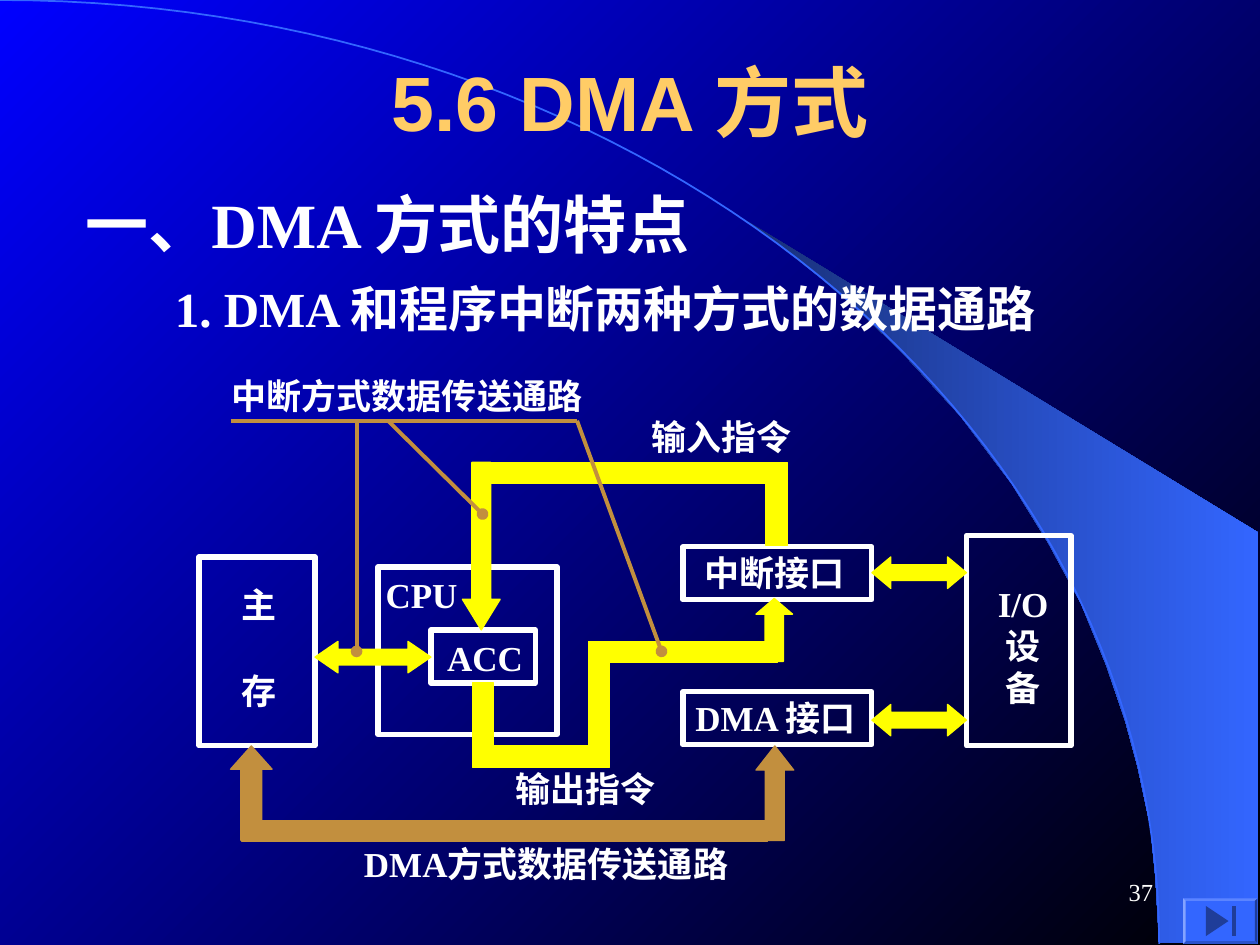
from typing import NamedTuple

from lxml import etree
from pptx import Presentation
from pptx.dml.color import RGBColor
from pptx.enum import shapes, text
from pptx.oxml import ns
from pptx.util import Inches, Pt

COLORS = {
    "blue": "0000FF", "black": "000000", "accent": "3366FF", "navy": "182F76",
    "title": "FFCC66", "white": "FFFFFF", "yellow": "FFFF00", "brown": "C28F3E",
    "light": "84A3FF", "pale": "5B84FF", "shade": "2952CC", "dark": "1F3D99",
}
SHAPE = shapes.MSO_SHAPE
ALIGN = text.PP_ALIGN


class Label(NamedTuple):
    lines: tuple[str, ...]
    left: float
    top: float
    width: float
    height: float = 0.44
    size: int = 20
    color: str = "white"
    font: str = "Times New Roman"
    bold: bool = True
    align: ALIGN = ALIGN.LEFT
    anchor: text.MSO_ANCHOR = text.MSO_ANCHOR.TOP
    gap: int = 0  # points before each later line
    inset: float = 0.1
    wrap: bool = False


class Block(NamedTuple):
    left: float
    top: float
    width: float
    height: float
    color: str = "yellow"
    kind: SHAPE = SHAPE.RECTANGLE
    head: float = 0  # arrowhead length relative to thickness


class Lead(NamedTuple):
    start: tuple[float, float]
    end: tuple[float, float]
    dot: bool = True


MIDDLE = text.MSO_ANCHOR.MIDDLE
HEADINGS = [
    Label(("5.6 DMA 方式",), 0.75, 0.17, 8.5, 1.25, 44, "title", "Arial",
          align=ALIGN.CENTER, anchor=MIDDLE, wrap=True),
    Label(("一、DMA 方式的特点",), 0.58, 1.42, 5.58, 0.7, 36, wrap=True),
    Label(("1. DMA 和程序中断两种方式的数据通路",), 1.29, 2.16, 7.14, 0.57, 28),
    Label(("37",), 7.17, 6.83, 2.08, 0.5, 14, bold=False,
          align=ALIGN.RIGHT, anchor=MIDDLE, wrap=True),
]
LABELS = [
    Label(("CPU",), 3, 4.5, 1.25, inset=0.06, wrap=True),
    Label(("主", "存"), 1.82, 4.58, 0.48, 1.1, gap=25),
    Label(("ACC",), 3.45, 5, 0.8, 0.42),
    Label(("中断接口",), 5.49, 4.33, 1.31),
    Label(("DMA 接口",), 5.42, 5.48, 1.56),
    Label(("I/O", "设", "备"), 7.82, 4.57, 0.6, 1.1, align=ALIGN.CENTER),
    Label(("中断方式数据传送通路",), 1.74, 2.92, 2.98),
    Label(("输入指令",), 5.07, 3.25, 1.31),
    Label(("输出指令",), 3.99, 6.04, 1.31),
    Label(("DMA方式数据传送通路",), 2.79, 6.64, 3.16),
]
# CPU, main memory, ACC, interrupt interface, DMA interface, I/O device
FRAMES = [
    Block(3, 4.5, 1.42, 1.33), Block(1.58, 4.42, 0.92, 1.5),
    Block(3.42, 5, 0.83, 0.42), Block(5.42, 4.34, 1.5, 0.42),
    Block(5.42, 5.49, 1.5, 0.42), Block(7.67, 4.25, 0.83, 1.67),
]
BAR = 0.17
ROUTES = [
    # Output instruction: ACC to interrupt interface
    Block(3.75, 5.42, BAR, 0.58), Block(3.75, 5.92, 1, BAR),
    Block(4.67, 5.17, BAR, 0.92), Block(4.67, 5.09, 1.5, BAR),
    Block(6, 4.75, 0.29, 0.5, "yellow", SHAPE.UP_ARROW, 0.43),
    # Input instruction: interrupt interface to ACC
    Block(6.08, 3.75, BAR, 0.58), Block(3.75, 3.67, 2.5, BAR),
    Block(3.67, 3.67, 0.3, 1.33, "yellow", SHAPE.DOWN_ARROW, 0.81),
    # Two-way links
    Block(2.5, 5.09, 0.92, 0.25, "yellow", SHAPE.LEFT_RIGHT_ARROW, 0.73),
    *(Block(6.92, top, 0.75, 0.25, "yellow", SHAPE.LEFT_RIGHT_ARROW, 0.6)
      for top in (4.42, 5.59)),
    # DMA path
    Block(1.83, 5.92, 0.33, 0.75, "brown", SHAPE.UP_ARROW, 0.56),
    Block(1.92, 6.51, 4.17, BAR, "brown"),
    Block(6, 5.92, 0.3, 0.75, "brown", SHAPE.UP_ARROW, 0.64),
]
LEADS = [
    Lead((1.83, 3.34), (4.58, 3.34), dot=False),
    Lead((2.83, 3.34), (2.83, 5.17)),
    Lead((3.08, 3.34), (3.83, 4.08)),
    Lead((4.58, 3.34), (5.25, 5.17)),
]
WEDGE = [
    (9.2, 7.48), (9.99, 7.49), (9.99, 4.23), (5.89, 1.73), (6.24, 1.99),
    (6.53, 2.22), (6.85, 2.5), (7.16, 2.8), (7.62, 3.3), (8.03, 3.84),
    (8.32, 4.31), (8.58, 4.79), (8.78, 5.28), (8.93, 5.72), (9.03, 6.09),
    (9.13, 6.56), (9.17, 6.96), (9.2, 7.48),
]


def rgb(name: str) -> RGBColor:
    return RGBColor.from_string(COLORS[name])


def set_gradient(fill, first: str, last: str, angle: int) -> None:
    fill.gradient()
    fill.gradient_angle = angle
    for stop, name, place in zip(fill.gradient_stops, (first, last), (0, 1)):
        stop.color.rgb = rgb(name)
        stop.position = place


def add_outline(slide, points: list[tuple[float, float]], closed: bool = True):
    first, *rest = [(Inches(x), Inches(y)) for x, y in points]
    builder = slide.shapes.build_freeform(*first)
    builder.add_line_segments(rest, close=closed)
    outline = builder.convert_to_shape()
    outline.shadow.inherit = False
    outline.line.fill.background()
    return outline


def add_facet(slide, points: list[tuple[float, float]], color: str) -> None:
    facet = add_outline(slide, points)
    facet.fill.solid()
    facet.fill.fore_color.rgb = rgb(color)


def add_block(slide, block: Block, framed: bool = False) -> None:
    shape = slide.shapes.add_shape(block.kind, *map(Inches, block[:4]))
    shape.shadow.inherit = False
    if framed:
        shape.fill.background()
    else:
        shape.fill.solid()
        shape.fill.fore_color.rgb = rgb(block.color)
    shape.line.color.rgb = rgb("white" if framed else block.color)
    shape.line.width = Pt(3 if framed else 0.75)
    if block.head:
        shape.adjustments[1] = block.head


def add_label(slide, label: Label) -> None:
    box = slide.shapes.add_textbox(*map(Inches, label[1:5]))
    frame = box.text_frame
    frame.word_wrap = label.wrap
    frame.vertical_anchor = label.anchor
    frame.margin_left = Inches(label.inset)
    for index, line in enumerate(label.lines):
        paragraph = frame.add_paragraph() if index else frame.paragraphs[0]
        paragraph.text = line
        paragraph.alignment = label.align
        if index and label.gap:
            paragraph.space_before = Pt(label.gap)
        font = paragraph.font
        font.name, font.size, font.bold = label.font, Pt(label.size), label.bold
        font.color.rgb = rgb(label.color)


def add_lead(slide, lead: Lead) -> None:
    line = slide.shapes.add_connector(
        shapes.MSO_CONNECTOR.STRAIGHT, *map(Inches, lead.start + lead.end))
    line.line.color.rgb = rgb("brown")
    line.line.width = Pt(2.25)
    if lead.dot:
        etree.SubElement(line.line._get_or_add_ln(), ns.qn("a:tailEnd"), type="oval")
    etree.SubElement(line._element.spPr, ns.qn("a:effectLst"))


def add_backdrop(slide) -> None:
    set_gradient(slide.background.fill, "blue", "black", 315)
    set_gradient(add_outline(slide, WEDGE).fill, "navy", "accent", 0)
    # Cubic curve from the top left corner to the bottom edge
    steps = [i / 60 for i in range(61)]
    curve = [(3 * 5.08 * t * (1 - t) ** 2 + 9.2 * (3 * t * t * (1 - t) + t ** 3),
              3 * 3.35 * t * t * (1 - t) + 7.49 * t ** 3) for t in steps]
    arc = add_outline(slide, curve, closed=False)
    arc.fill.background()
    arc.line.color.rgb = rgb("accent")
    arc.line.width = Pt(1)


def add_end_button(slide) -> None:
    left, top, right, bottom, bevel = 9.39, 7.13, 9.98, 7.49, 0.02
    outer = [(left, top), (right, top), (right, bottom), (left, bottom)]
    inner = [(left + bevel, top + bevel), (right - bevel, top + bevel),
             (right - bevel, bottom - bevel), (left + bevel, bottom - bevel)]
    add_facet(slide, outer, "accent")
    for side, color in enumerate(("pale", "dark", "shade", "light")):
        after = (side + 1) % 4
        add_facet(slide, [outer[side], outer[after], inner[after], inner[side]], color)
    add_facet(slide, [(9.75, 7.31), (9.57, 7.43), (9.57, 7.19)], "dark")
    add_facet(slide, [(9.78, 7.19), (9.78, 7.43), (9.81, 7.43), (9.81, 7.19)], "dark")


def main() -> None:
    deck = Presentation()
    deck.slide_width, deck.slide_height = Inches(10), Inches(7.5)
    slide = deck.slides.add_slide(deck.slide_layouts[6])
    add_backdrop(slide)
    for frame in FRAMES:
        add_block(slide, frame, framed=True)
    for route in ROUTES:
        add_block(slide, route)
    for lead in LEADS:
        add_lead(slide, lead)
    for label in HEADINGS + LABELS:
        add_label(slide, label)
    add_end_button(slide)
    deck.save("out.pptx")


if __name__ == "__main__":
    main()
